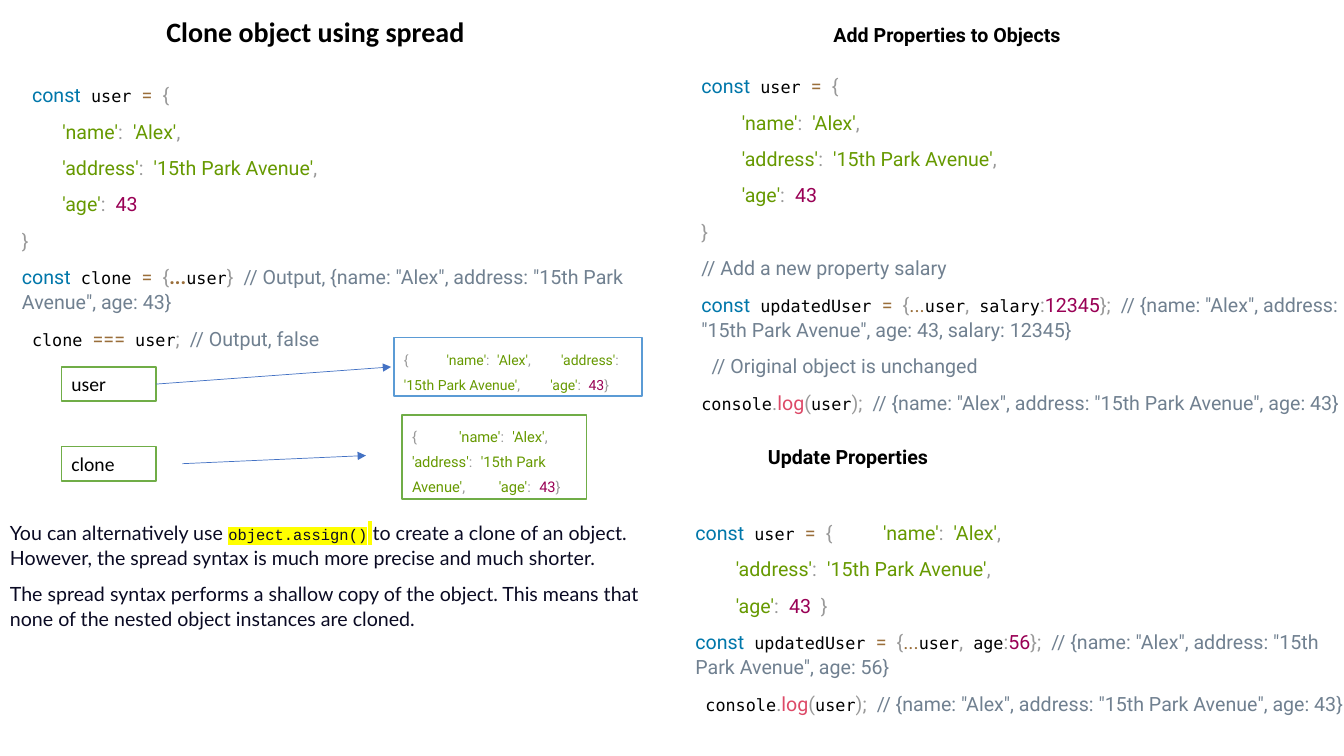
"""Build the slide on cloning, extending and updating objects with spread."""
from lxml.etree import SubElement
from pptx import Presentation
from pptx.dml.color import RGBColor
from pptx.enum.shapes import MSO_CONNECTOR, MSO_SHAPE
from pptx.enum.text import MSO_ANCHOR, MSO_AUTO_SIZE, PP_ALIGN
from pptx.oxml.ns import qn
from pptx.util import Pt

COLORS = {
    "plain": "000000", "keyword": "0077AA", "operator": "9A6E3A", "spread": "9A6E3A",
    "punct": "999999", "string": "669900", "number": "990055", "comment": "708090",
    "function": "DD4A68", "prose": "0A0A23", "marked": "0A0A23", "inline": "0A0A23",
    "title": "000000", "heading": "000000", "label": "000000", "highlight": "FFFF00",
    "white": "FFFFFF", "green": "70AD47", "blue": "5B9BD5", "arrow": "4472C4",
}
FONTS = {
    "plain": "DejaVu Sans Mono", "inline": "Courier New", "prose": "Lato",
    "marked": "Lato", "title": "Calibri", "label": "Calibri",
}


def add_box(x, y, w, h, border=None):
    if border:
        sp = s.shapes.add_shape(MSO_SHAPE.RECTANGLE, Pt(x), Pt(y), Pt(w), Pt(h))
        sp.shadow.inherit = False
        sp.fill.solid()
        sp.fill.fore_color.rgb = RGBColor.from_string(COLORS["white"])
        sp.line.color.rgb = RGBColor.from_string(COLORS[border])
        sp.line.width = Pt(1)
    else:
        sp = s.shapes.add_textbox(Pt(x), Pt(y), Pt(w), Pt(h))
    tf = sp.text_frame
    tf.word_wrap = True
    tf.auto_size = MSO_AUTO_SIZE.SHAPE_TO_FIT_TEXT
    tf.vertical_anchor = MSO_ANCHOR.TOP
    return sp


def write(tf, lines, size=14, mono_size=12, spacing=Pt(18), after=8):
    for i, line in enumerate(lines):
        p = tf.add_paragraph() if i else tf.paragraphs[0]
        p.alignment = PP_ALIGN.LEFT
        p.line_spacing = spacing
        p.space_before = Pt(0)
        p.space_after = Pt(after)
        for kind, text in line:
            r = p.add_run()
            r.text = text
            r.font.size = Pt(mono_size if kind in ("plain", "inline") else size)
            r.font.bold = kind in ("title", "heading", "spread")
            r.font.color.rgb = RGBColor.from_string(COLORS[kind])
            r.font.name = FONTS.get(kind, "Roboto")
            if kind in ("inline", "marked"):
                rPr = r.font._element
                highlight = SubElement(rPr, qn("a:highlight"))
                SubElement(highlight, qn("a:srgbClr"), val=COLORS["highlight"])
                rPr.find(qn("a:latin")).addprevious(highlight)


prs = Presentation()
prs.slide_width, prs.slide_height = Pt(960), Pt(540)
s = prs.slides.add_slide(prs.slide_layouts[5])

title = s.shapes.title
title.left, title.top, title.width, title.height = Pt(111.6), Pt(9.4), Pt(371.5), Pt(28.8)
title.text_frame.word_wrap = True
title.text_frame.vertical_anchor = MSO_ANCHOR.MIDDLE
write(title.text_frame, [[("title", "Clone object using spread")]], 20, spacing=0.9, after=0)

colon = [("punct", ":"), ("plain", " ")]
comma = [("punct", ",")]
indent = [("plain", "    ")]
assign = [("operator", "="), ("plain", " "), ("punct", "{")]
open_user = [("keyword", "const"), ("plain", " user ")] + assign
open_updated = [("keyword", "const"), ("plain", " updatedUser ")] + assign
name = [("string", "'name'")] + colon + [("string", "'Alex'")] + comma
address = [("string", "'address'")] + colon + [("string", "'15th Park Avenue'")] + comma
age = [("string", "'age'")] + colon + [("number", "43")]
close = [("punct", "}")]
spread_user = [("operator", "..."), ("plain", "user"), ("punct", ",")]
log_user = [
    ("plain", "console"), ("punct", "."), ("function", "log"), ("punct", "("),
    ("plain", "user"), ("punct", ");"), ("plain", " "),
    ("comment", '// {name: "Alex", address: "15th Park Avenue", age: 43}'),
]
user_body = [indent + name, indent + address, indent + age, close]

clone_code = [[("plain", " ")] + open_user] + user_body + [
    [("keyword", "const"), ("plain", " clone ")] + assign + [
        ("spread", "..."), ("plain", "user"), ("punct", "}"), ("plain", " "),
        ("comment", '// Output, {name: "Alex", address: "15th Park Avenue", age: 43}')],
    [("plain", " clone "), ("operator", "==="), ("plain", " user"), ("punct", ";"),
     ("plain", " "), ("comment", "// Output, false")],
]
add_code = [open_user] + user_body + [
    [("comment", "// Add a new property salary")],
    open_updated + spread_user + [
        ("plain", " salary"), ("punct", ":"), ("number", "12345"), ("punct", "};"), ("plain", " "),
        ("comment", '// {name: "Alex", address: "15th Park Avenue", age: 43, salary: 12345}')],
    [("plain", " "), ("comment", "// Original object is unchanged")],
    log_user,
]
update_code = [
    open_user + [("plain", "     ")] + name,
    indent + address,
    indent + age + [("number", "  ")] + close,
    open_updated + spread_user + [
        ("plain", " age"), ("punct", ":"), ("number", "56"), ("punct", "};"), ("plain", " "),
        ("comment", '// {name: "Alex", address: "15th Park Avenue", age: 56}')],
    [("plain", " ")] + log_user,
]
for place, code in [
    ((8.6, 54.7, 483.1, 201.6), clone_code),
    ((493.9, 48.2, 483.1, 252.7), add_code),
    ((489.6, 367.2, 491, 155), update_code),
]:
    write(add_box(*place).text_frame, code)

notes = [
    [("prose", "You can alternatively use "), ("inline", "object.assign()"), ("marked", " "),
     ("prose", "to create a clone of an object. However, the spread syntax is much more "
               "precise and much shorter.")],
    [("prose", "The spread syntax performs a shallow copy of the object. This means that "
               "none of the nested object instances are cloned.")],
]
write(add_box(0, 367.2, 475.2, 87.1).text_frame, notes, mono_size=11, spacing=1.07)

for place, text in [
    ((588.2, 11.5, 272.9, 24.5), "Add Properties to Objects"),
    ((541.4, 313.2, 293.8, 24.5), "Update Properties"),
]:
    write(add_box(*place).text_frame, [[("heading", text)]], spacing=1.07, after=2.4)

labels = {}
for text, y in [("user", 262.1), ("clone", 319)]:
    labels[text] = add_box(43.9, y, 67.7, 24.5, "green")
    write(labels[text].text_frame, [[("label", text)]], spacing=1.0, after=0)

object_line = close[:0] + [("punct", "{"), ("plain", "     ")] + name + indent + address + indent + age + close
for place, border, size, mono_size in [
    ((281.5, 241.2, 177.1, 41.8), "blue", 10, 9),
    ((287.3, 296.6, 131.8, 59.8), "green", 10.5, 10),
]:
    write(add_box(*place, border).text_frame, [object_line], size, mono_size)

arrows = []
for x1, y1, x2, y2 in [(111.6, 274.3, 279.4, 262.1), (130.3, 331.2, 261.4, 325.4)]:
    arrow = s.shapes.add_connector(MSO_CONNECTOR.STRAIGHT, Pt(x1), Pt(y1), Pt(x2), Pt(y2))
    arrow.line.color.rgb = RGBColor.from_string(COLORS["arrow"])
    arrow.line.width = Pt(0.5)
    SubElement(arrow.line._get_or_add_ln(), qn("a:tailEnd"), type="triangle")
    SubElement(arrow._element.spPr, qn("a:effectLst"))
    arrows.append(arrow)
arrows[0].begin_connect(labels["user"], 3)

prs.save("out.pptx")
